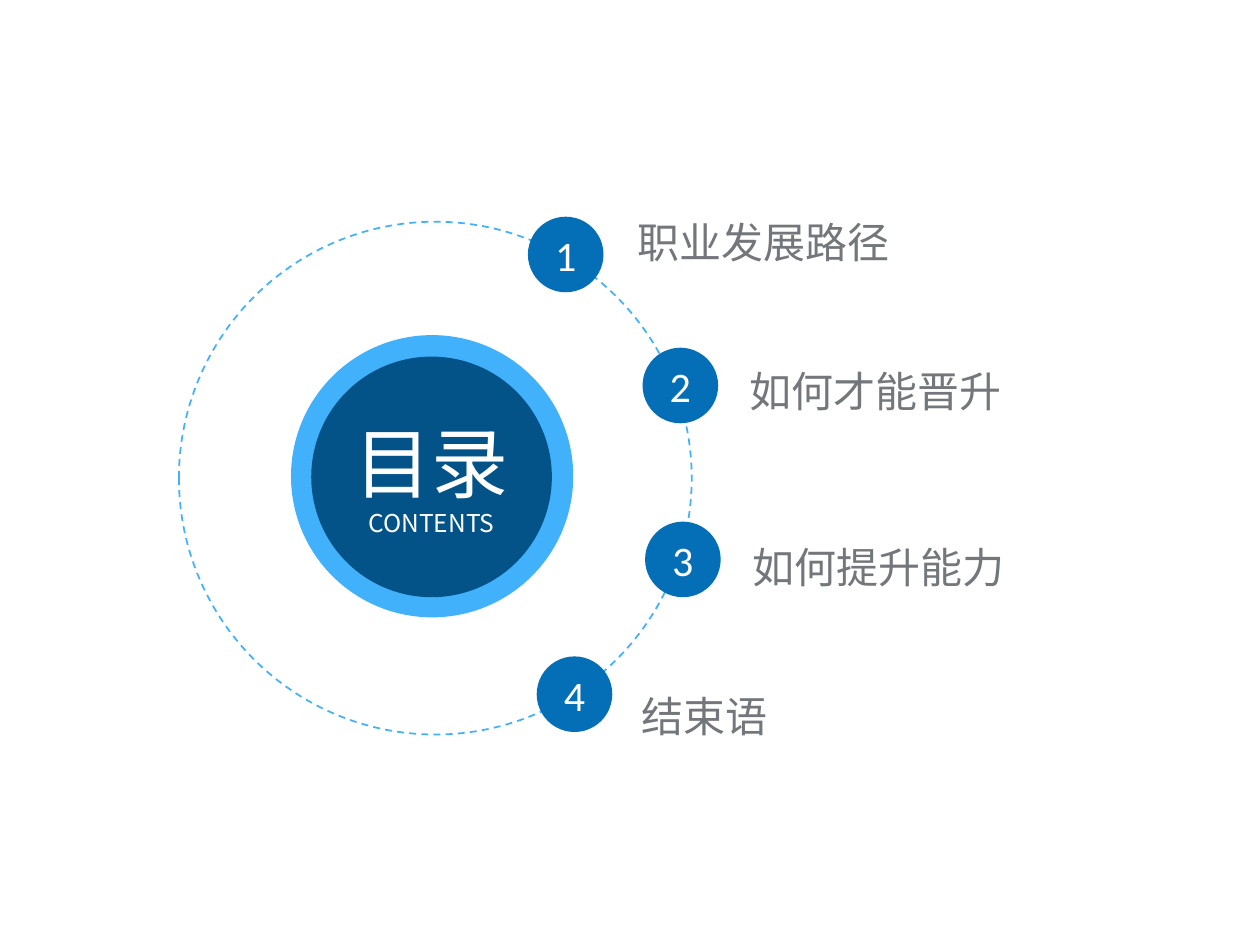
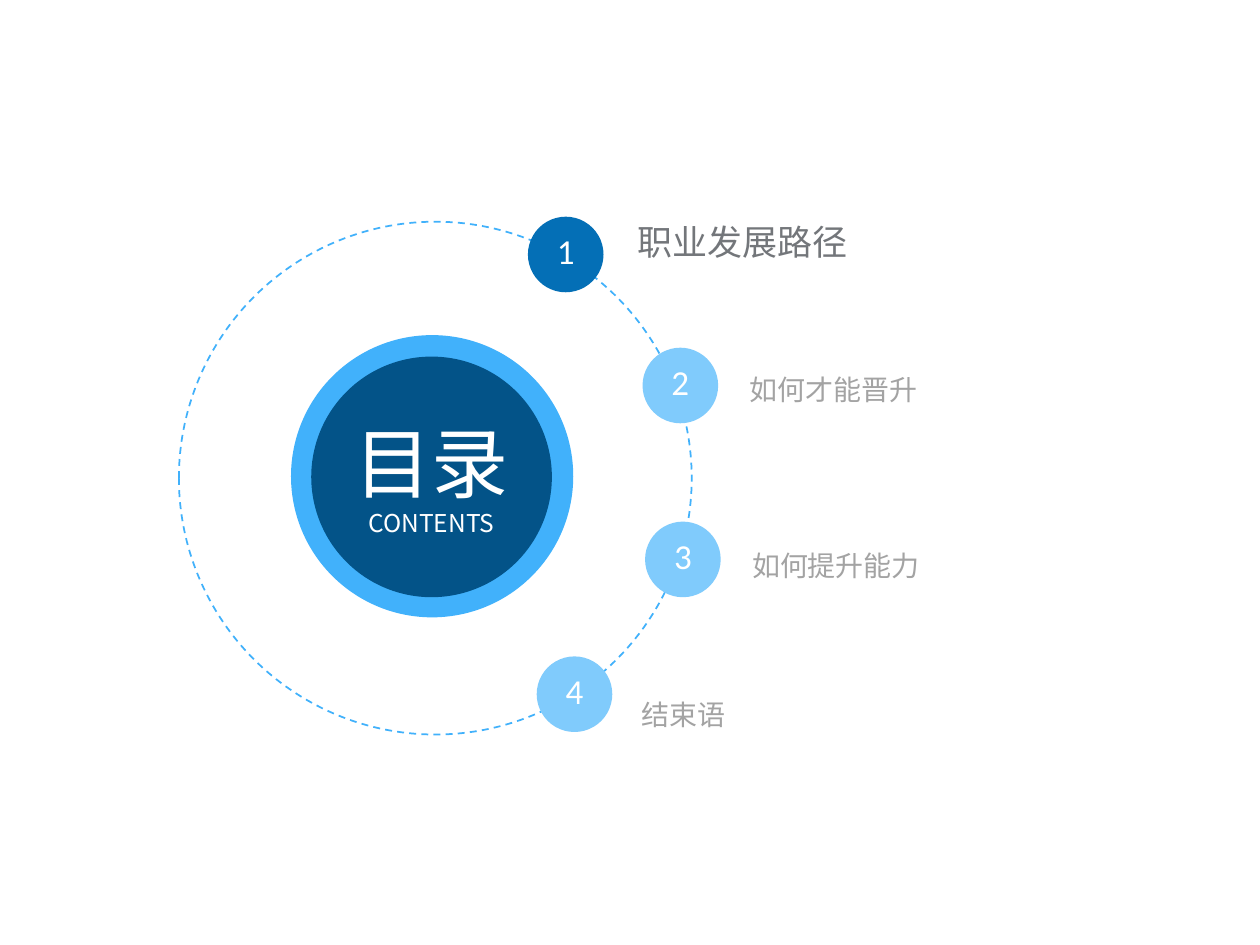
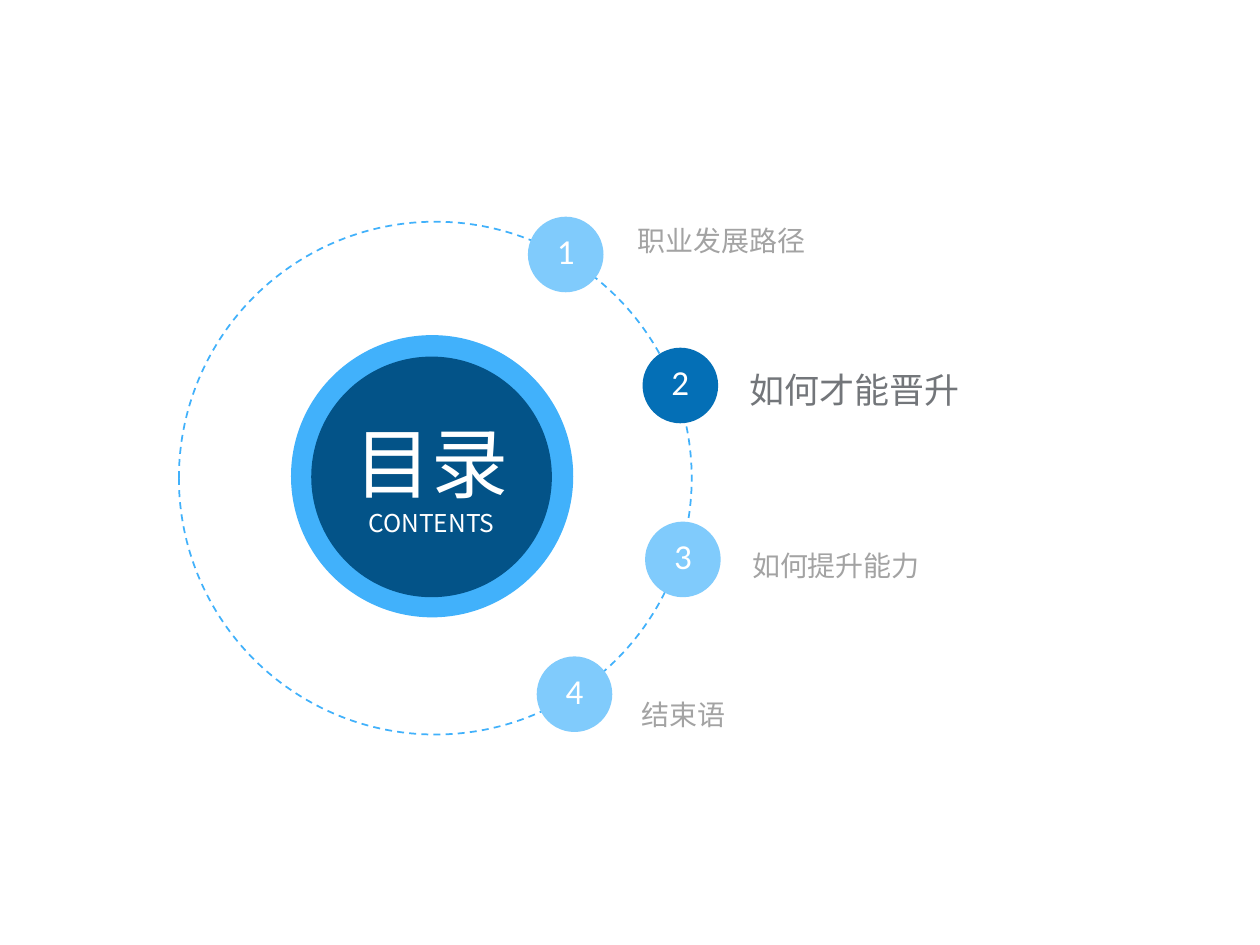
from dataclasses import dataclass

from lxml import etree
from pptx import Presentation
from pptx.dml.color import RGBColor
from pptx.enum.dml import MSO_LINE
from pptx.enum.shapes import MSO_SHAPE
from pptx.enum.text import MSO_ANCHOR, PP_ALIGN
from pptx.oxml.ns import qn
from pptx.util import Inches, Pt

OVAL = MSO_SHAPE.OVAL
DASH = MSO_LINE.DASH
MIDDLE = MSO_ANCHOR.MIDDLE
CENTER = PP_ALIGN.CENTER
LEFT = PP_ALIGN.LEFT


@dataclass(frozen=True)
class Theme:
    sky: str = "41B1FB"
    navy: str = "035388"
    active_badge: str = "046FB6"
    muted_badge: str = "80CBFC"
    active_label: str = "73767A"
    muted_label: str = "A3A3A3"
    white: str = "FFFFFF"
    latin_font: str = "Calibri"
    chinese_font: str = "Noto Sans CJK SC"
    title_size: int = 44
    subtitle_size: int = 14
    overview_size: int = 24
    active_size: int = 20
    muted_size: int = 16
    label_spacing: float = 1.2
    badge_spacing: float = 0.8


theme = Theme()

presentation = Presentation()
presentation.slide_width = Inches(10)
presentation.slide_height = Inches(7.5)
blank_layout = presentation.slide_layouts[6]
column = presentation.slide_width / 100
row = presentation.slide_height / 75

BADGE_SIZE = 6
LABEL_HEIGHT = 8.4
CHAPTERS = [
    ("职业发展路径", (41.9, 17.2), (50.2, 14.6, 39.1)),
    ("如何才能晋升", (51, 27.6), (59.1, 26.4, 32.6)),
    ("如何提升能力", (51.2, 41.4), (59.3, 40.4, 33)),
    ("结束语", (42.6, 52.1), (50.5, 52.2, 40.3)),
]


def add_circle(slide, left, top, size, fill=None):
    circle = slide.shapes.add_shape(
        OVAL, round(left * column), round(top * row), round(size * column), round(size * row)
    )
    circle.shadow.inherit = False
    if fill:
        circle.fill.solid()
        circle.fill.fore_color.rgb = RGBColor.from_string(fill)
        circle.line.fill.background()
    else:
        circle.fill.background()
        circle.line.color.rgb = RGBColor.from_string(theme.sky)
        circle.line.width = Pt(1)
        circle.line.dash_style = DASH
    return circle


def write_text(paragraph, text, size, color, font, alignment):
    paragraph.alignment = alignment
    run = paragraph.add_run()
    run.text = text
    run.font.size = Pt(size)
    run.font.color.rgb = RGBColor.from_string(color)
    run.font.name = font
    east_asian = etree.SubElement(run.font._element, qn("a:ea"))
    east_asian.set("typeface", theme.chinese_font)


for active_chapter in (None, 1, 2):
    slide = presentation.slides.add_slide(blank_layout)
    overview = active_chapter is None

    add_circle(slide, 23.1, 26.6, 22.4, theme.sky)
    add_circle(slide, 14.2, 17.6, 40.7)
    hub = add_circle(slide, 24.7, 28.3, 19.1, theme.navy)
    frame = hub.text_frame
    frame.word_wrap = True
    frame.vertical_anchor = MIDDLE
    frame.margin_left = frame.margin_top = frame.margin_right = frame.margin_bottom = 0
    write_text(frame.paragraphs[0], "目录", theme.title_size, theme.white, theme.chinese_font, CENTER)
    write_text(frame.add_paragraph(), "CONTENTS", theme.subtitle_size, theme.white, theme.chinese_font, CENTER)

    for number, (title, badge_place, label_place) in enumerate(CHAPTERS, start=1):
        highlighted = overview or number == active_chapter
        if overview:
            label_size = badge_text_size = theme.overview_size
        else:
            label_size = theme.active_size if highlighted else theme.muted_size
            badge_text_size = theme.active_size

        left, top, width = label_place
        label = slide.shapes.add_textbox(
            round(left * column), round(top * row), round(width * column), round(LABEL_HEIGHT * row)
        )
        frame = label.text_frame
        frame.word_wrap = True
        frame.vertical_anchor = MIDDLE
        frame.margin_left = Inches(0.04)
        frame.margin_top = frame.margin_right = frame.margin_bottom = 0
        paragraph = frame.paragraphs[0]
        paragraph.line_spacing = theme.label_spacing
        label_color = theme.active_label if highlighted else theme.muted_label
        write_text(paragraph, title, label_size, label_color, theme.latin_font, LEFT)

        badge_color = theme.active_badge if highlighted else theme.muted_badge
        badge = add_circle(slide, *badge_place, BADGE_SIZE, badge_color)
        badge.text_frame.vertical_anchor = MIDDLE
        paragraph = badge.text_frame.paragraphs[0]
        if not overview:
            paragraph.line_spacing = theme.badge_spacing
        write_text(paragraph, str(number), badge_text_size, theme.white, theme.latin_font, CENTER)

presentation.save("out.pptx")
